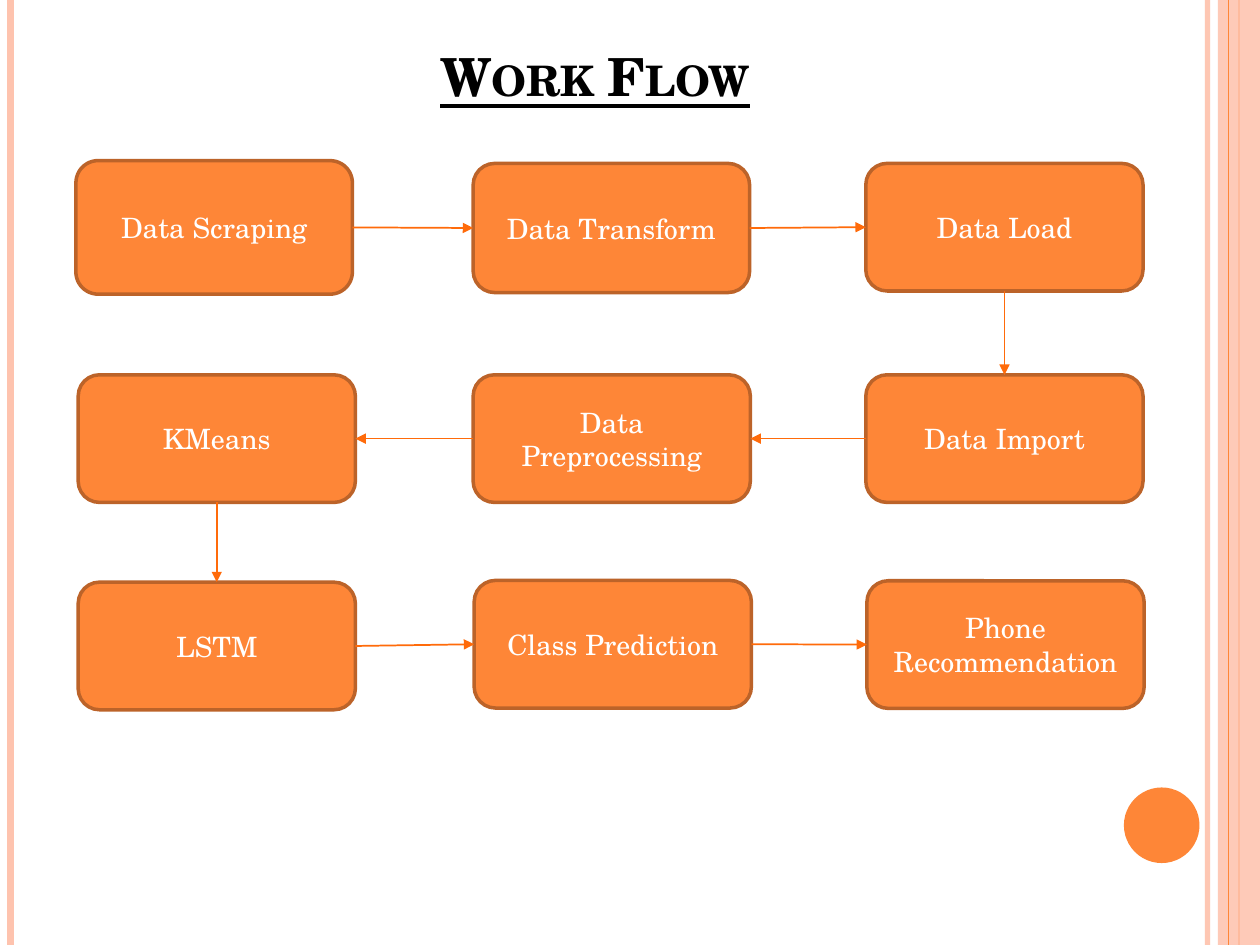
from dataclasses import dataclass
from itertools import pairwise

from lxml.etree import SubElement
from pptx import Presentation
from pptx.dml.color import RGBColor
from pptx.enum.shapes import MSO_CONNECTOR, MSO_SHAPE
from pptx.enum.text import MSO_ANCHOR as ANCHOR, PP_ALIGN as ALIGN
from pptx.oxml.ns import qn
from pptx.util import Pt

W, H = 720, 540
FONT = "TeX Gyre Schola"
COLORS = {
    "orange": "FE8637",
    "border": "BC6329",
    "arrow": "FF6B0A",
    "peach": "FEC3AE",
    "black": "000000",
    "white": "FFFFFF",
}
TOP, LEFT, BOTTOM, RIGHT = range(4)


@dataclass
class Step:
    text: str
    left: float
    top: float
    width: float = 158.4
    height: float = 72.9


@dataclass
class Rule:
    x: float
    color: str
    width: float
    alpha: int = 100


STEPS = [
    Step("Data Scraping", 43.4, 91.8, 158, 76.3),
    Step("Data Transform", 270.4, 93.4, 158, 73.8),
    Step("Data Load", 494.8, 93.4),
    Step("Data Import", 494.8, 214.2),
    Step("Data Preprocessing", 270.4, 214.2),
    Step("KMeans", 44.7, 214.2),
    Step("LSTM", 44.7, 332.7),
    Step("Class Prediction", 271, 331.7),
    Step("Phone Recommendation", 495.4, 331.9),
]
# Sides left and entered by each arrow, in step order
ROUTE = [
    (RIGHT, LEFT), (RIGHT, LEFT), (BOTTOM, TOP),
    (LEFT, RIGHT), (LEFT, RIGHT), (BOTTOM, TOP),
    (RIGHT, LEFT), (RIGHT, LEFT),
]
EDGE_RULES = [
    Rule(690, "peach", 3, 93),
    Rule(6, "peach", 4.5),
    Rule(702, "orange", 0.75),
    Rule(708, "peach", 1),
]


def rgb(name: str) -> RGBColor:
    return RGBColor.from_string(COLORS[name])


def set_alpha(parent, percent: int) -> None:
    """Make the solid colour found under an XML element partly transparent."""
    clr = next(parent.iter(qn("a:srgbClr")))
    SubElement(clr, qn("a:alpha"), val=str(percent * 1000))


def add_line(slide, color: str, width: float, ends=(0, 0, 0, 0)):
    c = slide.shapes.add_connector(MSO_CONNECTOR.STRAIGHT, *map(Pt, ends))
    c.line.color.rgb = rgb(color)
    c.line.width = Pt(width)
    SubElement(c._element.spPr, qn("a:effectLst"))
    return c


def add_rule(slide, rule: Rule) -> None:
    c = add_line(slide, rule.color, rule.width, (rule.x, 0, rule.x, H))
    if rule.alpha < 100:
        set_alpha(c.line._ln, rule.alpha)


def add_filled(slide, kind, box, color: str):
    sp = slide.shapes.add_shape(kind, *map(Pt, box))
    sp.shadow.inherit = False
    sp.fill.solid()
    sp.fill.fore_color.rgb = rgb(color)
    sp.line.fill.background()
    return sp


def set_text(sp, text: str, size: float, color: str):
    tf = sp.text_frame
    tf.word_wrap = True
    tf.vertical_anchor = ANCHOR.MIDDLE
    p = tf.paragraphs[0]
    p.text = text
    p.alignment = ALIGN.CENTER
    p.font.name = FONT
    p.font.size = Pt(size)
    p.font.color.rgb = rgb(color)
    return p


def add_title(slide, text: str) -> None:
    p = set_text(slide.shapes.add_textbox(Pt(46), Pt(23), Pt(588), Pt(40)),
                 text, 30, "black")
    p.font.bold = True
    p.font.underline = True
    p.runs[0].font._element.set("cap", "small")


def add_step(slide, step: Step):
    box = (step.left, step.top, step.width, step.height)
    sp = add_filled(slide, MSO_SHAPE.ROUNDED_RECTANGLE, box, "orange")
    sp.line.color.rgb = rgb("border")
    sp.line.width = Pt(2)
    set_text(sp, step.text, 16, "white")
    return sp


def add_arrow(slide, start, end, sides: tuple[int, int]) -> None:
    c = add_line(slide, "arrow", 1)
    c.begin_connect(start, sides[0])
    c.end_connect(end, sides[1])
    SubElement(c.line._ln, qn("a:tailEnd"), type="triangle")


def add_edges(slide) -> None:
    """Draw the striped side borders and the corner disc."""
    for rule in EDGE_RULES[:2]:
        add_rule(slide, rule)
    add_rule(slide, Rule(708, "orange", 1.5))
    band = add_filled(slide, MSO_SHAPE.RECTANGLE, (696, 0, 24, H), "peach")
    set_alpha(band._element.spPr, 87)
    add_rule(slide, EDGE_RULES[2])
    add_filled(slide, MSO_SHAPE.OVAL, (642.24, 450, 43.2, 43.2), "orange")


def main() -> None:
    prs = Presentation()
    prs.slide_width, prs.slide_height = Pt(W), Pt(H)
    slide = prs.slides.add_slide(prs.slide_layouts[6])
    add_edges(slide)
    add_title(slide, "Work Flow")
    boxes = [add_step(slide, step) for step in STEPS]
    for (start, end), sides in zip(pairwise(boxes), ROUTE):
        add_arrow(slide, start, end, sides)
    prs.save("out.pptx")


if __name__ == "__main__":
    main()
